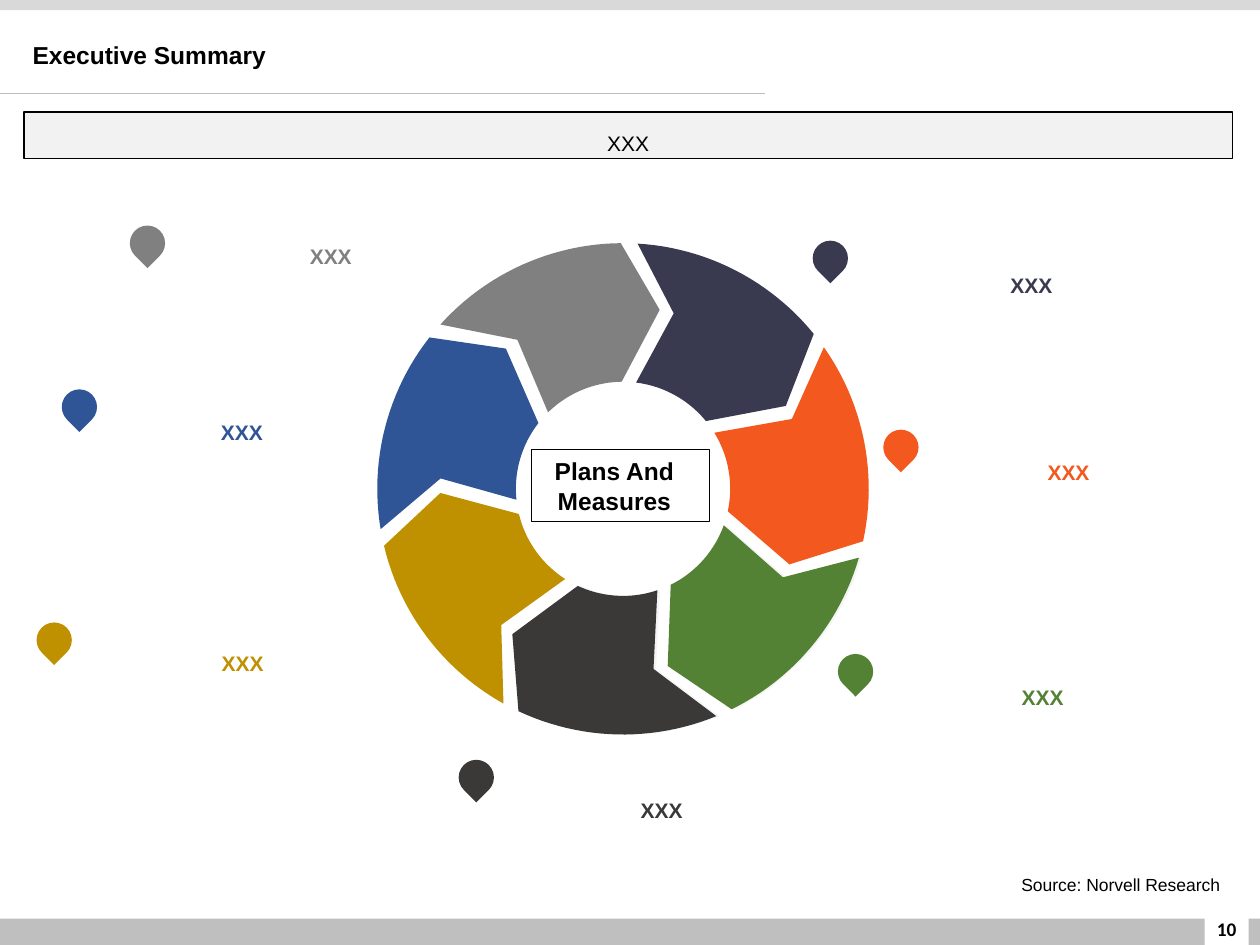
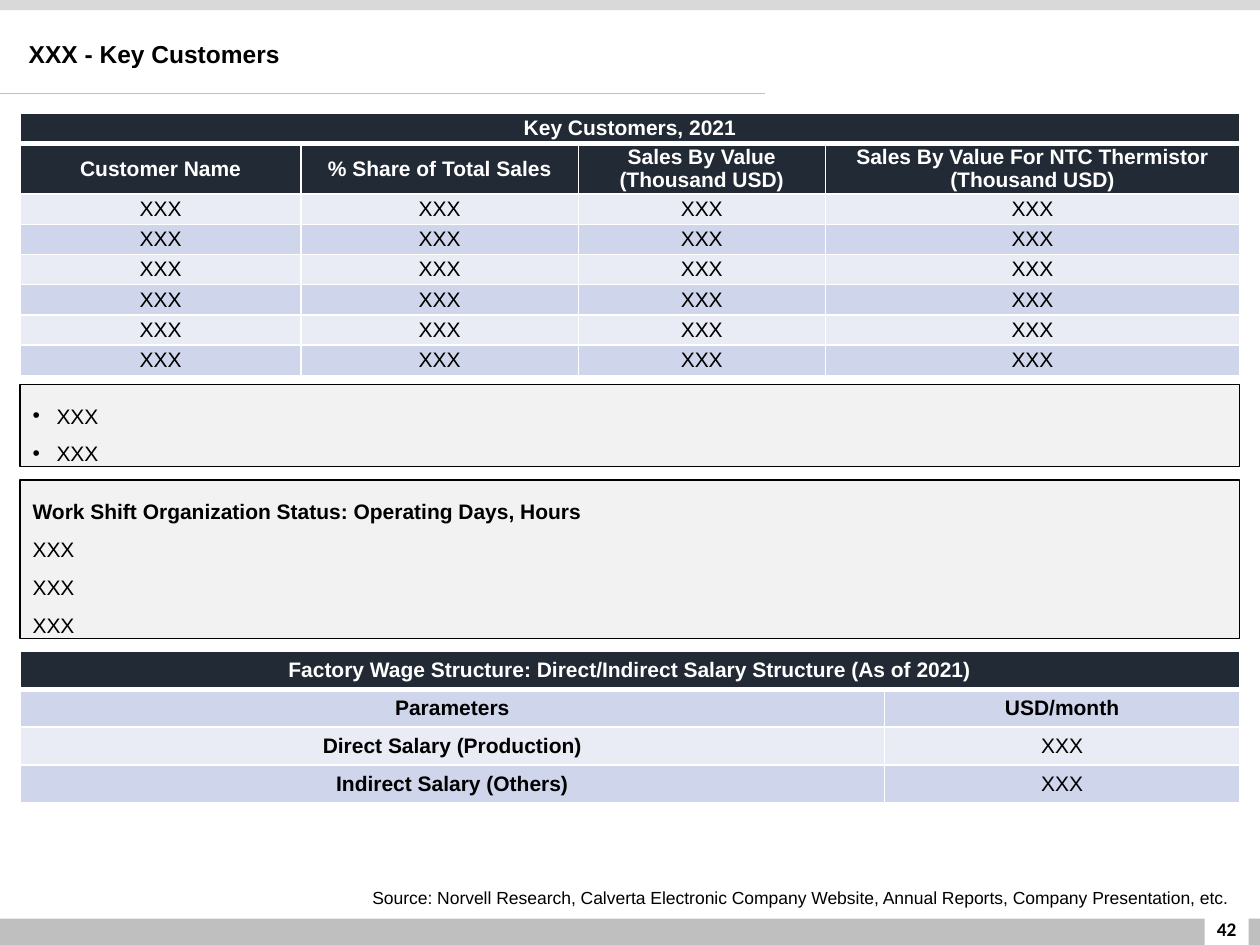
"""Build the executive summary wheel and the key customers slide."""
from dataclasses import dataclass
from math import cos, radians, sin
from typing import NamedTuple

from lxml import etree
from pptx import Presentation
from pptx.dml.color import RGBColor
from pptx.enum import shapes, text
from pptx.oxml import ns
from pptx.util import Inches, Pt


@dataclass(frozen=True)
class Theme:
    font: str = "Arial"
    number_font: str = "Calibri"
    title: int = 14
    body: int = 12
    number: int = 11
    source: int = 10
    black: str = "000000"
    white: str = "FFFFFF"
    footer: str = "BFBFBF"
    top_band: str = "D9D9D9"
    panel: str = "F2F2F2"
    shade: str = "F4F4F4"
    header: str = "222A35"
    light_row: str = "E9EBF5"
    dark_row: str = "CFD5EA"
    navy: str = "393950"
    orange: str = "F3591F"
    green: str = "548235"
    charcoal: str = "3B3838"
    gold: str = "BF9000"
    blue: str = "2F5597"
    grey: str = "808080"


THEME = Theme()
ALIGN = text.PP_ALIGN
ANCHOR = text.MSO_ANCHOR
SHAPE = shapes.MSO_SHAPE
LABEL_INSETS = (0, 0.05, 0.1, 0.05)


class Area(NamedTuple):
    left: float
    top: float
    width: float
    height: float

    def lengths(self) -> list:
        return [Inches(value) for value in self]


class Line(NamedTuple):
    words: str
    bold: bool = False
    bullet: bool = False


class Segment(NamedTuple):
    color: str
    pin: tuple
    label: Area
    shaded: bool = False


@dataclass(frozen=True)
class Grid:
    area: Area
    columns: tuple
    heights: tuple
    rows: tuple
    header_rows: int
    bold_rows: int
    bold_columns: int = 0
    inset: tuple = (0.1, 0.05, 0.1, 0.05)


SEGMENTS = (
    Segment(THEME.navy, (6.45, 1.91), Area(6.79, 2.11, 2.89, 0.3)),
    Segment(THEME.orange, (7.01, 3.41), Area(7.38, 3.6, 2.3, 0.3)),
    Segment(THEME.green, (6.65, 5.19), Area(6.97, 5.38, 2.71, 0.3), True),
    Segment(THEME.charcoal, (3.64, 6.03), Area(3.98, 6.28, 2.64, 0.3), True),
    Segment(THEME.gold, (0.29, 4.94), Area(0.73, 5.11, 2.49, 0.3)),
    Segment(THEME.blue, (0.49, 3.09), Area(0.93, 3.28, 2.08, 0.3)),
    Segment(THEME.grey, (1.03, 1.79), Area(1.36, 1.88, 2.63, 0.3)),
)

CUSTOMERS = Grid(
    Area(0.16, 0.9, 9.68, 2.07),
    (2.23, 2.2, 1.96, 3.29),
    (0.24, 0.39) + (0.24,) * 6,
    (
        ("Key Customers, 2021",),
        (
            "Customer Name",
            "% Share of Total Sales",
            "Sales By Value (Thousand USD)",
            "Sales By Value For NTC Thermistor (Thousand USD)",
        ),
    ) + (("XXX",) * 4,) * 6,
    header_rows=2,
    bold_rows=2,
    inset=(0, 0, 0, 0),
)

WAGES = Grid(
    Area(0.16, 5.17, 9.68, 1.16),
    (6.86, 2.82),
    (0.29,) * 4,
    (
        ("Factory Wage Structure: Direct/Indirect Salary Structure (As of 2021)",),
        ("Parameters", "USD/month"),
        ("Direct Salary (Production)", "XXX"),
        ("Indirect Salary (Others)", "XXX"),
    ),
    header_rows=1,
    bold_rows=2,
    bold_columns=1,
)


def style(target, **values) -> None:
    for name, value in values.items():
        setattr(target, name, value)


def paint(shape, fill: str, line: str | None = None) -> None:
    shape.shadow.inherit = False
    shape.fill.solid()
    shape.fill.fore_color.rgb = RGBColor.from_string(fill)
    if line:
        shape.line.color.rgb = RGBColor.from_string(line)
        shape.line.width = Pt(0.75)
    else:
        shape.line.fill.background()


def add_bullet(para) -> None:
    properties = para._p.get_or_add_pPr()
    properties.set("marL", str(Inches(0.19)))
    properties.set("indent", str(Inches(-0.19)))
    etree.SubElement(properties, ns.qn("a:buFont")).set("typeface", "Arial")
    etree.SubElement(properties, ns.qn("a:buChar")).set("char", "•")


def write(frame, lines, size=THEME.body, color=THEME.black, align=ALIGN.LEFT,
          spacing=1.0, font=THEME.font) -> None:
    for index, line in enumerate(lines):
        para = frame.add_paragraph() if index else frame.paragraphs[0]
        style(para, alignment=align, line_spacing=spacing)
        if line.bullet:
            add_bullet(para)
        span = para.add_run()
        span.text = line.words
        style(span.font, size=Pt(size), bold=line.bold, name=font)
        span.font.color.rgb = RGBColor.from_string(color)


def set_insets(target, insets) -> None:
    sides = ("margin_left", "margin_top", "margin_right", "margin_bottom")
    style(target, **{side: Inches(value) for side, value in zip(sides, insets)})


def prepare(frame, anchor=ANCHOR.TOP, insets=(0.1, 0.05, 0.1, 0.05), grow=True):
    style(frame, word_wrap=True, vertical_anchor=anchor)
    set_insets(frame, insets)
    frame.auto_size = text.MSO_AUTO_SIZE.SHAPE_TO_FIT_TEXT if grow else text.MSO_AUTO_SIZE.NONE
    return frame


def add_text(page, area: Area, line: Line, anchor=ANCHOR.TOP,
             insets=(0.1, 0.05, 0.1, 0.05), grow=True, **format_values) -> None:
    box = page.shapes.add_textbox(*area.lengths())
    write(prepare(box.text_frame, anchor, insets, grow), [line], **format_values)


def add_block(page, area: Area, fill: str, line: str | None = None, kind=SHAPE.RECTANGLE):
    block = page.shapes.add_shape(kind, *area.lengths())
    paint(block, fill, line)
    return block


def add_panel(page, area: Area, lines, align=ALIGN.LEFT) -> None:
    panel = add_block(page, area, THEME.panel, THEME.black)
    write(prepare(panel.text_frame), lines, align=align, spacing=1.5)


def add_page(deck, number: str, title: str, title_area: Area, source: str, source_area: Area):
    page = deck.slides.add_slide(deck.slide_layouts[6])
    add_block(page, Area(0, 7.29, 10.02, 0.23), THEME.footer)
    add_block(page, Area(0, 0, 10.02, 0.08), THEME.top_band)
    add_block(page, Area(9.56, 7.13, 0.35, 0.38), THEME.white)
    add_text(page, Area(9.49, 7.17, 0.49, 0.4), Line(number, True), ANCHOR.MIDDLE, grow=False,
             size=THEME.number, align=ALIGN.CENTER, font=THEME.number_font)
    rule = page.shapes.add_connector(shapes.MSO_CONNECTOR.STRAIGHT, Inches(0), Inches(0.74),
                                     Inches(6.07), Inches(0.74))
    rule.line.color.rgb = RGBColor.from_string(THEME.footer)
    rule.line.width = Pt(0.5)
    etree.SubElement(rule._element.spPr, ns.qn("a:effectLst"))
    add_text(page, title_area, Line(title, True), size=THEME.title)
    add_text(page, source_area, Line(source), size=THEME.source, align=ALIGN.RIGHT)
    return page


def add_arrow_segment(page, index: int, color: str, shift: float = 0) -> None:
    turn = index * 360 / len(SEGMENTS)
    outer, inner, middle, steps = 1.95, 0.85, 1.45, 24

    def point(radius: float, angle: float) -> tuple:
        turned = radians(angle + turn)
        return (Inches(4.945 + shift + radius * sin(turned)), Inches(3.88 - radius * cos(turned)))

    def arc(radius: float, start: float, end: float) -> list:
        return [point(radius, start + (end - start) * step / steps) for step in range(steps + 1)]

    outline = arc(outer, 3.4, 50.9) + [point(middle, 63)] + arc(inner, 50.7, 7) + [point(middle, 16.1)]
    builder = page.shapes.build_freeform(*outline[0])
    builder.add_line_segments(outline[1:], close=True)
    paint(builder.convert_to_shape(), color)


def add_wheel(page) -> None:
    for index, segment in enumerate(SEGMENTS):
        if segment.shaded:
            add_arrow_segment(page, index, THEME.shade, shift=0.02)
    for index, segment in enumerate(SEGMENTS):
        add_arrow_segment(page, index, segment.color)
        pin = add_block(page, Area(*segment.pin, 0.28, 0.28), segment.color, kind=SHAPE.TEAR)
        pin.rotation = 135
        add_text(page, segment.label, Line("XXX", True), ANCHOR.MIDDLE, LABEL_INSETS,
                 color=segment.color, align=ALIGN.CENTER)
    hub = add_block(page, Area(4.22, 3.57, 1.41, 0.57), THEME.white, THEME.black)
    write(prepare(hub.text_frame, ANCHOR.MIDDLE, LABEL_INSETS), [Line("Plans And Measures", True)],
          size=THEME.title, align=ALIGN.CENTER)


def add_borders(cell, row: int) -> None:
    widths = {"lnL": 1, "lnR": 1, "lnT": 3 if row == 1 else 1, "lnB": 1 if row else 3}
    for side, width in widths.items():
        border = etree.SubElement(cell._tc.get_or_add_tcPr(), ns.qn(f"a:{side}"), w=str(Pt(width)))
        fill = etree.SubElement(border, ns.qn("a:solidFill"))
        etree.SubElement(fill, ns.qn("a:srgbClr"), val=THEME.white)


def add_grid(page, grid: Grid) -> None:
    table = page.shapes.add_table(len(grid.rows), len(grid.columns), *grid.area.lengths()).table
    for column, width in zip(table.columns, grid.columns):
        column.width = Inches(width)
    for row, height in zip(table.rows, grid.heights):
        row.height = Inches(height)
    table.cell(0, 0).merge(table.cell(0, len(grid.columns) - 1))
    for row, words in enumerate(grid.rows):
        is_header = row < grid.header_rows
        band = THEME.header if is_header else (THEME.light_row, THEME.dark_row)[row % 2]
        for column in range(len(grid.columns)):
            cell = table.cell(row, column)
            add_borders(cell, row)
            cell.fill.solid()
            cell.fill.fore_color.rgb = RGBColor.from_string(band)
            set_insets(cell, grid.inset)
            cell.vertical_anchor = ANCHOR.MIDDLE
            if column < len(words):
                bold = row < grid.bold_rows or column < grid.bold_columns
                write(cell.text_frame, [Line(words[column], bold)], align=ALIGN.CENTER,
                      color=THEME.white if is_header else THEME.black)


def main() -> None:
    deck = Presentation()
    style(deck, slide_width=Inches(10), slide_height=Inches(7.5))

    summary = add_page(deck, "10", "Executive Summary", Area(0.16, 0.27, 6.62, 0.34),
                       "Source: Norvell Research", Area(4.74, 6.89, 5.04, 0.27))
    add_wheel(summary)
    add_panel(summary, Area(0.19, 0.89, 9.59, 0.37), [Line("XXX")], ALIGN.CENTER)

    customers = add_page(
        deck, "42", "XXX - Key Customers", Area(0.13, 0.26, 6.66, 0.34),
        "Source: Norvell Research, Calverta Electronic Company Website, Annual Reports, "
        "Company Presentation, etc.", Area(1.58, 6.99, 8.26, 0.27))
    add_grid(customers, WAGES)
    add_grid(customers, CUSTOMERS)
    add_panel(customers, Area(0.16, 3.05, 9.68, 0.65), [Line("XXX", bullet=True)] * 2)
    shifts = [Line("Work Shift Organization Status: Operating Days, Hours", True)]
    add_panel(customers, Area(0.16, 3.81, 9.68, 1.26), shifts + [Line("XXX")] * 3)
    deck.save("out.pptx")


if __name__ == "__main__":
    main()
